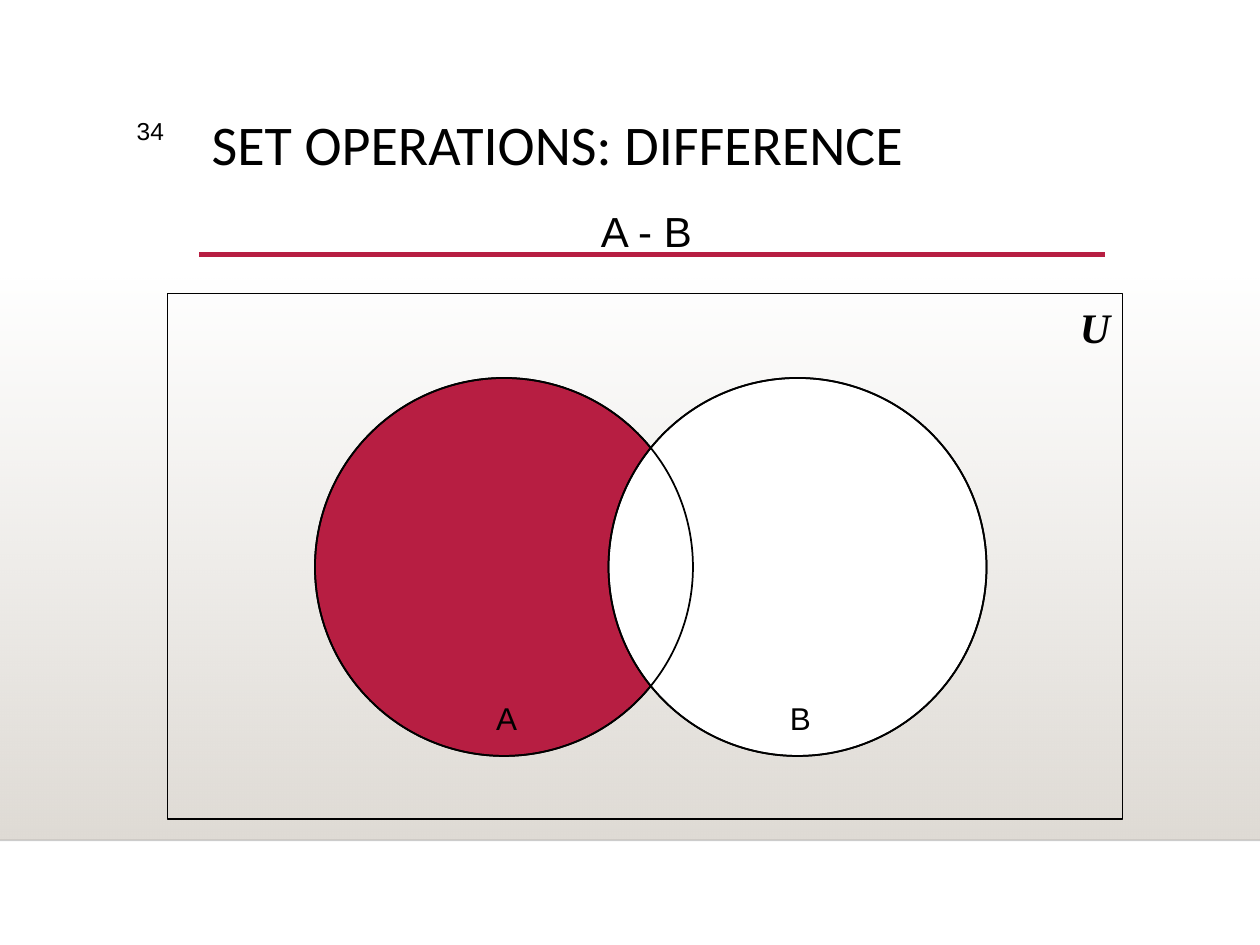
from dataclasses import dataclass
from typing import Optional

from lxml import etree
from pptx import Presentation
from pptx import util as u
from pptx.dml.color import RGBColor
from pptx.enum import shapes, text
from pptx.oxml.ns import qn


@dataclass(frozen=True)
class Theme:
    ink: str = "000000"
    red: str = "B71E42"
    white: str = "FFFFFF"
    sand: str = "DFDBD5"
    edge: str = "000001"
    head: int = 32
    large: int = 24
    label: int = 18
    small: int = 14


@dataclass(frozen=True)
class Box:
    left: float
    top: float
    width: float
    height: float

    def args(self) -> list:
        return [u.Inches(n) for n in (self.left, self.top, self.width, self.height)]


@dataclass(frozen=True)
class Label:
    words: str
    box: Box
    size: int
    font: str = "Arial"
    align: text.PP_ALIGN = text.PP_ALIGN.CENTER
    wrap: bool = False
    strong: bool = False


@dataclass(frozen=True)
class Circle:
    box: Box
    fill: str


THEME = Theme()
RECT = shapes.MSO_SHAPE.RECTANGLE
OVAL = shapes.MSO_SHAPE.OVAL

# Venn geometry
SIDE = 3
CIRCLES = [
    Circle(Box(2.5, 3, SIDE, SIDE), THEME.red),
    Circle(Box(4.83, 3, SIDE, SIDE), THEME.white),
]
LABELS = [
    Label("34", Box(0.53, 0.87, 0.87, 0.55), THEME.small,
          align=text.PP_ALIGN.RIGHT, wrap=True),
    Label("U", Box(8.47, 2.34, 0.44, 0.5), THEME.large, "Times New Roman", strong=True),
    Label("A", Box(3.84, 5.5, 0.36, 0.4), THEME.label),
    Label("B", Box(6.17, 5.5, 0.36, 0.4), THEME.label),
    Label("A - B", Box(4.66, 1.58, 0.94, 0.5), THEME.large),
]


def rgb(code: str) -> RGBColor:
    return RGBColor.from_string(code)


def fade(node, share: int) -> None:
    """Set the opacity, in percent, of each colour under a node."""
    for clr in node.iter(qn("a:srgbClr")):
        etree.SubElement(clr, qn("a:alpha")).set("val", str(share * 1000))


def shape(slide, kind, box: Box, fill: Optional[str] = None):
    item = slide.shapes.add_shape(kind, *box.args())
    item.shadow.inherit = False
    if fill:
        item.fill.solid()
        item.fill.fore_color.rgb = rgb(fill)
    else:
        item.fill.background()
    item.line.color.rgb = rgb(THEME.ink)
    item.line.width = u.Pt(1)
    return item


def rule(slide, left: float, right: float, y: float, color: str, width: float):
    item = slide.shapes.add_connector(
        shapes.MSO_CONNECTOR.STRAIGHT,
        u.Inches(left), u.Inches(y), u.Inches(right), u.Inches(y))
    item.line.color.rgb = rgb(color)
    item.line.width = u.Pt(width)
    etree.SubElement(item._element.spPr, qn("a:effectLst"))
    return item


def style(par, size: int, font: str, align, strong: bool = False) -> None:
    par.alignment = align
    for run in par.runs:
        run.font.size = u.Pt(size)
        run.font.name = font
        run.font.color.rgb = rgb(THEME.ink)
        run.font.bold = run.font.italic = strong


def write(slide, item: Label) -> None:
    frame = slide.shapes.add_textbox(*item.box.args()).text_frame
    frame.word_wrap = item.wrap
    frame.text = item.words
    style(frame.paragraphs[0], item.size, item.font, item.align, item.strong)


def backdrop(slide) -> None:
    panel = shape(slide, RECT, Box(0, 2.2, 10, 4.46))
    panel.line.fill.background()
    panel.fill.gradient()
    panel.fill.gradient_angle = 270
    stops = panel.fill.gradient_stops
    for stop in stops:
        stop.color.rgb = rgb(THEME.sand)
    fade(stops[0]._gs, 0)
    floor = rule(slide, 0, 10, 6.67, THEME.edge, 1)
    fade(floor._element.spPr, 20)
    rule(slide, 1.58, 8.77, 2.02, THEME.red, 2.5)


def heading(slide, words: str, box: Box) -> None:
    title = slide.shapes.title
    title.left, title.top, title.width, title.height = box.args()
    frame = title.text_frame
    frame.text = words
    frame.word_wrap = True
    frame.auto_size = text.MSO_AUTO_SIZE.NONE
    frame.vertical_anchor = text.MSO_ANCHOR.TOP
    par = frame.paragraphs[0]
    par.line_spacing = 0.9
    style(par, THEME.head, "Calibri", text.PP_ALIGN.LEFT)


def main() -> None:
    deck = Presentation()
    deck.slide_width, deck.slide_height = u.Inches(10), u.Inches(7.5)
    slide = deck.slides.add_slide(deck.slide_layouts[5])

    # Background and title
    backdrop(slide)
    heading(slide, "SET OPERATIONS: DIFFERENCE", Box(1.58, 0.88, 7.19, 1.15))

    # Universe, filled sets, then both outlines on top
    shape(slide, RECT, Box(1.33, 2.33, 7.58, 4.17))
    for ring in CIRCLES:
        shape(slide, OVAL, ring.box, ring.fill)
    for ring in reversed(CIRCLES):
        shape(slide, OVAL, ring.box)

    # Labels
    for item in LABELS:
        write(slide, item)

    deck.save("out.pptx")


if __name__ == "__main__":
    main()
